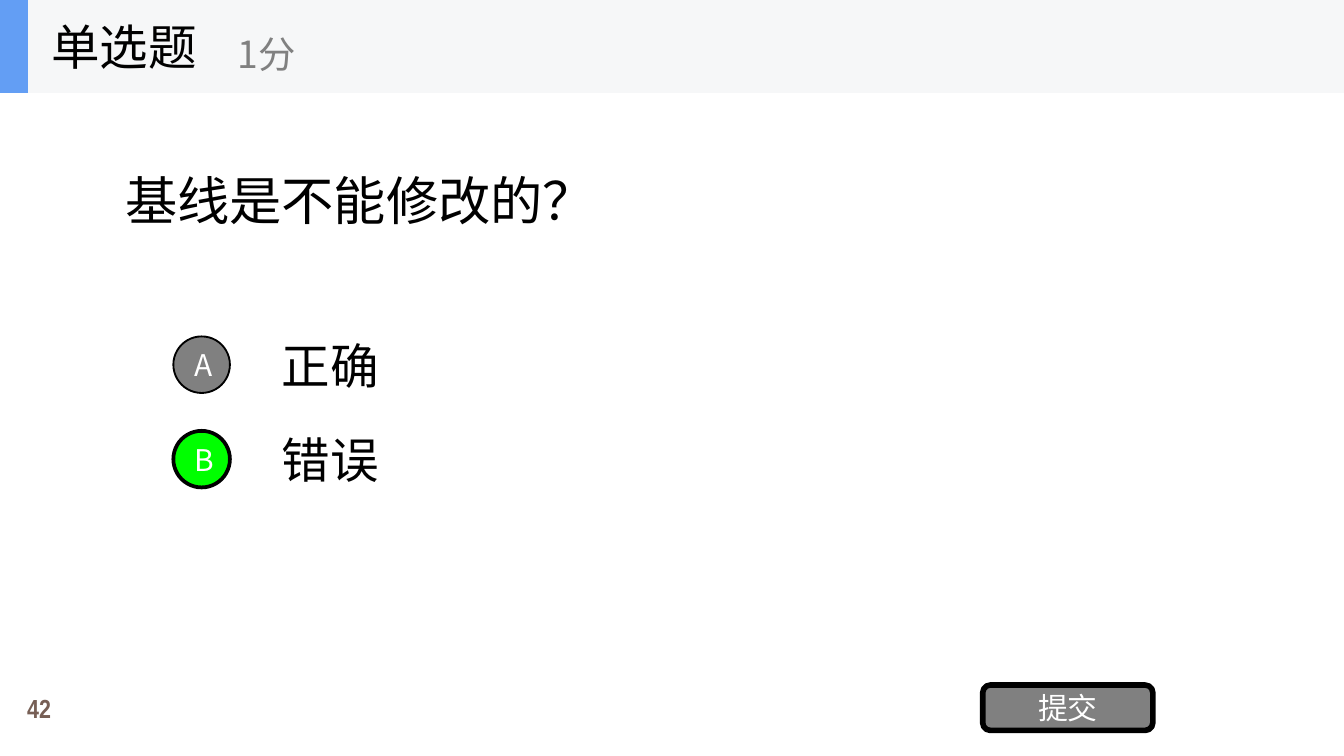
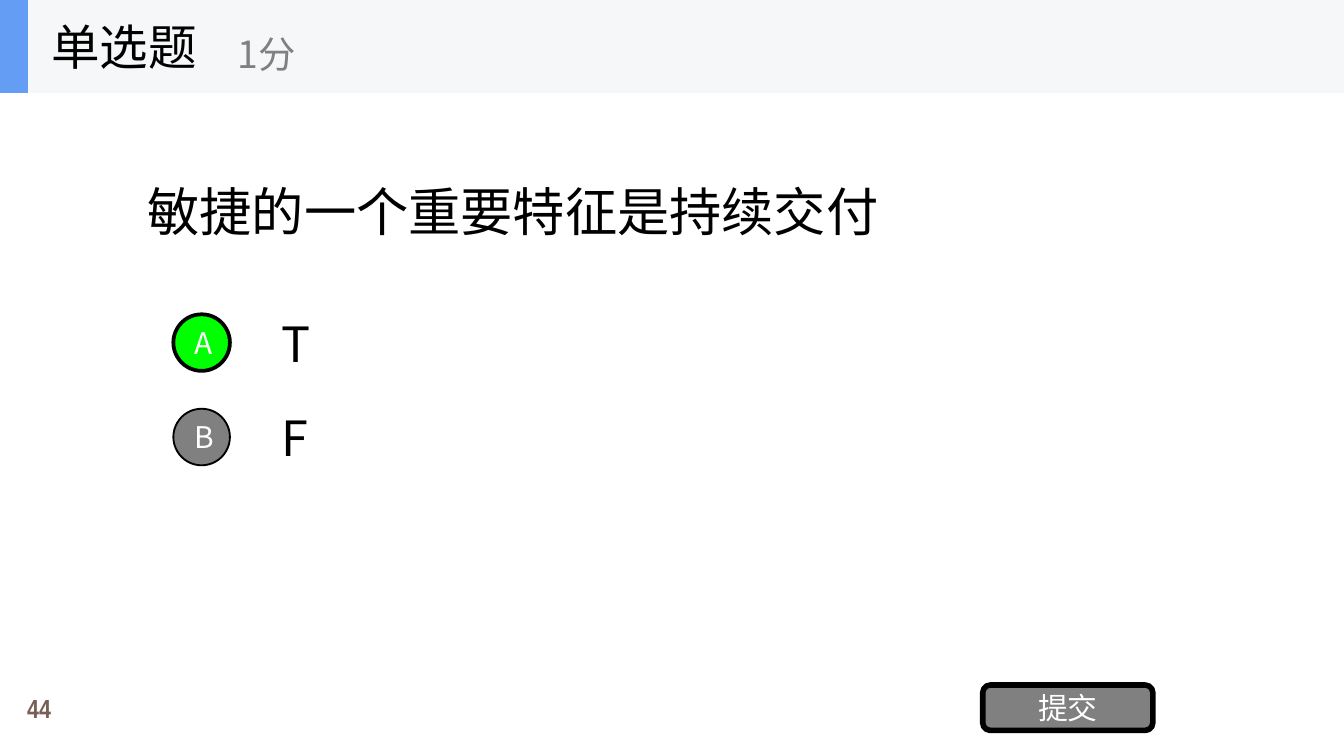
"""Build two single-choice quiz slides."""
from dataclasses import dataclass

from lxml.etree import SubElement
from pptx import Presentation
from pptx.dml.color import RGBColor
from pptx.enum.shapes import MSO_SHAPE
from pptx.enum.text import MSO_ANCHOR, PP_ALIGN
from pptx.oxml.ns import qn
from pptx.shapes.autoshape import Shape
from pptx.shapes.shapetree import GroupShapes, SlideShapes
from pptx.slide import Slide
from pptx.util import Pt

Shapes = SlideShapes | GroupShapes


@dataclass(frozen=True)
class Theme:
    """Colours, fonts and type sizes of the quiz."""
    ink: str = "000000"
    white: str = "FFFFFF"
    grey: str = "808080"
    correct: str = "00FF00"
    band: str = "F6F7F8"
    accent: str = "639EF4"
    page: str = "775F55"
    sans: str = "Noto Sans CJK SC"
    sans_jp: str = "Noto Sans CJK JP"
    narrow: str = "Arial Narrow"
    question_size: float = 28
    title_size: float = 26
    score_size: float = 20
    button_size: float = 16
    page_size: float = 14


THEME = Theme()


@dataclass(frozen=True)
class Box:
    """A rectangle in points."""
    left: float
    top: float
    width: float
    height: float

    def lengths(self) -> tuple[Pt, Pt, Pt, Pt]:
        """Return left, top, width and height as lengths."""
        return Pt(self.left), Pt(self.top), Pt(self.width), Pt(self.height)


@dataclass(frozen=True)
class Style:
    """The look of one run and its paragraph."""
    size: float
    color: str = THEME.ink
    latin: str = THEME.sans
    east_asian: str = THEME.sans
    bold: bool = False
    align: PP_ALIGN = PP_ALIGN.LEFT
    line_spacing: float = 1.0


TITLE = Style(THEME.title_size)
SCORE = Style(THEME.score_size, THEME.grey)
BUTTON = Style(THEME.button_size, THEME.white, align=PP_ALIGN.CENTER)
PAGE = Style(THEME.page_size, THEME.page, THEME.narrow, bold=True,
             align=PP_ALIGN.CENTER, line_spacing=0.9)


@dataclass(frozen=True)
class Quiz:
    """One single-choice question."""
    page: str
    question: str
    question_box: Box
    question_style: Style
    question_anchor: MSO_ANCHOR
    options_top: float
    options: tuple[str, ...]
    answer: int


QUIZZES = (
    Quiz("42", "基线是不能修改的？", Box(60, 86.5, 576, 80.5),
         Style(THEME.question_size, latin=THEME.narrow), MSO_ANCHOR.TOP,
         176.25, ("正确", "错误"), 1),
    Quiz("44", "敏捷的一个重要特征是持续交付", Box(72, 49.75, 576, 126.5),
         Style(THEME.question_size, latin=THEME.sans_jp,
               east_asian=THEME.sans_jp), MSO_ANCHOR.MIDDLE,
         164.4, ("T", "F"), 0),
)
SLIDE_WIDTH, SLIDE_HEIGHT = 720, 405
BAND_HEIGHT = 49.75
OPTION_PITCH = 50.6
OPTION_HEIGHT = 38.25
BADGE_SIZE = 30.3


def write(shape: Shape, text: str, style: Style,
          anchor: MSO_ANCHOR = MSO_ANCHOR.MIDDLE, wrap: bool = True) -> None:
    """Write one styled run into a shape."""
    frame = shape.text_frame
    frame.word_wrap = wrap
    frame.vertical_anchor = anchor
    paragraph = frame.paragraphs[0]
    paragraph.alignment = style.align
    paragraph.line_spacing = style.line_spacing
    run = paragraph.add_run()
    run.text = text
    run.font.size = Pt(style.size)
    run.font.bold = style.bold
    run.font.color.rgb = RGBColor.from_string(style.color)
    run.font.name = style.latin
    SubElement(run.font._element, qn("a:ea"), typeface=style.east_asian)


def add_label(shapes: Shapes, box: Box, text: str, style: Style,
              anchor: MSO_ANCHOR = MSO_ANCHOR.MIDDLE,
              wrap: bool = True) -> None:
    """Add a text box."""
    write(shapes.add_textbox(*box.lengths()), text, style, anchor, wrap)


def add_panel(shapes: Shapes, kind: MSO_SHAPE, box: Box, fill: str,
              border: float = 0) -> Shape:
    """Add a filled shape, with a border in ink if one is given."""
    panel = shapes.add_shape(kind, *box.lengths())
    panel.shadow.inherit = False
    panel.fill.solid()
    panel.fill.fore_color.rgb = RGBColor.from_string(fill)
    if border:
        panel.line.color.rgb = RGBColor.from_string(THEME.ink)
        panel.line.width = Pt(border)
    else:
        panel.line.fill.background()
    return panel


def add_header(slide: Slide) -> None:
    """Add the grouped title band."""
    header = slide.shapes.add_group_shape().shapes
    add_panel(header, MSO_SHAPE.RECTANGLE,
              Box(0, 0, SLIDE_WIDTH, BAND_HEIGHT), THEME.band)
    add_panel(header, MSO_SHAPE.RECTANGLE,
              Box(0, 0, 15, BAND_HEIGHT), THEME.accent)
    add_label(header, Box(20.4, 0, 150, BAND_HEIGHT), "单选题", TITLE,
              wrap=False)
    add_label(header, Box(120.25, 8.75, 180, 40.25), "1分", SCORE, wrap=False)


def add_options(slide: Slide, quiz: Quiz) -> None:
    """Add the lettered options and mark the right one."""
    tops = [quiz.options_top + index * OPTION_PITCH
            for index in range(len(quiz.options))]
    for top, option in zip(tops, quiz.options):
        add_label(slide.shapes, Box(144, top, 504, OPTION_HEIGHT), option,
                  TITLE)
    inset = (OPTION_HEIGHT - BADGE_SIZE) / 2
    for index, (top, letter) in enumerate(zip(tops, "ABCD")):
        correct = index == quiz.answer
        badge = add_panel(slide.shapes, MSO_SHAPE.OVAL,
                          Box(92.85, top + inset, BADGE_SIZE, BADGE_SIZE),
                          THEME.correct if correct else THEME.grey,
                          2 if correct else 1)
        write(badge, letter, BUTTON)


def add_submit(slide: Slide) -> None:
    """Add the submit button."""
    submit = add_panel(slide.shapes, MSO_SHAPE.ROUNDED_RECTANGLE,
                       Box(526.5, 367, 91.1, 24.3), THEME.grey, 3)
    write(submit, "提交", BUTTON)


def add_quiz(slide: Slide, quiz: Quiz) -> None:
    """Draw one quiz slide."""
    add_label(slide.shapes, Box(0, 369.4, 42, 22.3), quiz.page, PAGE)
    add_label(slide.shapes, quiz.question_box, quiz.question,
              quiz.question_style, quiz.question_anchor)
    add_options(slide, quiz)
    add_submit(slide)
    add_header(slide)


def main() -> None:
    """Build and save the presentation."""
    presentation = Presentation()
    presentation.slide_width = Pt(SLIDE_WIDTH)
    presentation.slide_height = Pt(SLIDE_HEIGHT)
    blank = presentation.slide_layouts[6]
    for quiz in QUIZZES:
        add_quiz(presentation.slides.add_slide(blank), quiz)
    presentation.save("out.pptx")


if __name__ == "__main__":
    main()
